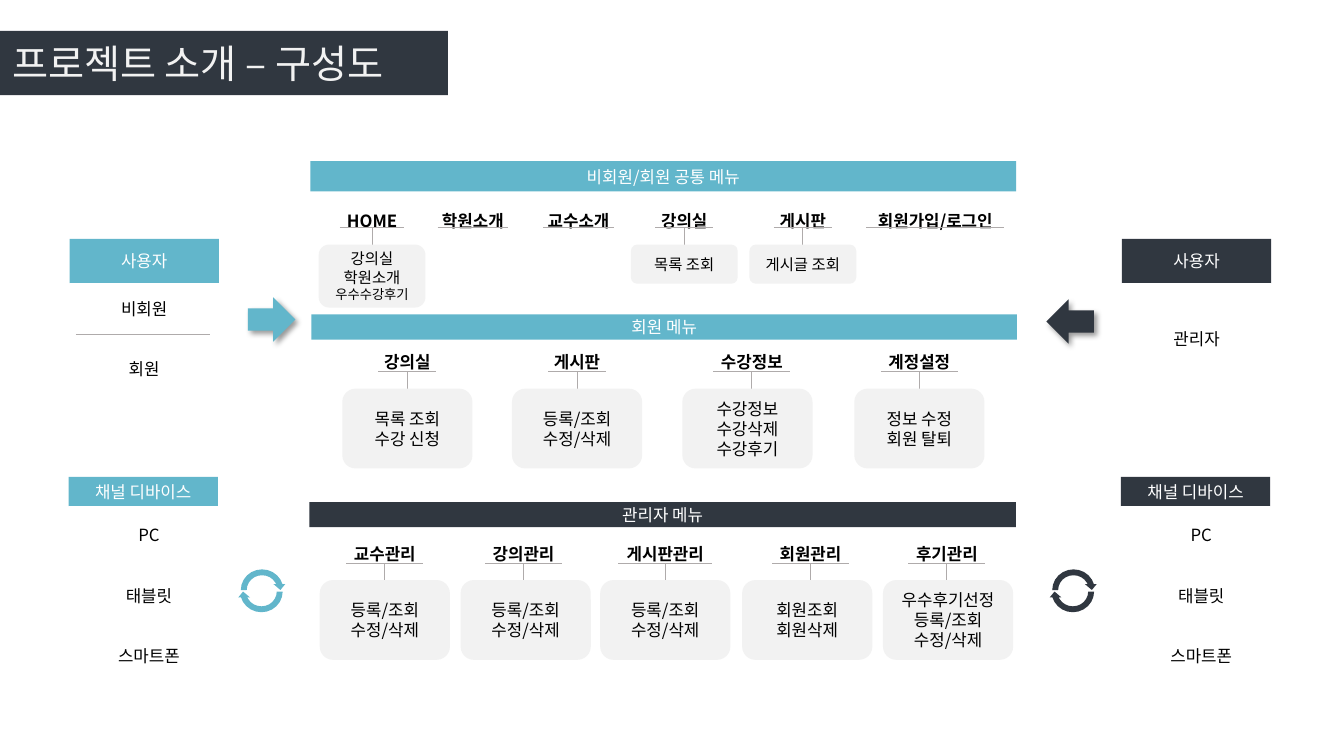
from dataclasses import dataclass

from lxml import etree
from pptx import Presentation
from pptx.dml.color import RGBColor
from pptx.enum import shapes, text
from pptx.oxml import ns
from pptx.util import Pt

FONT = "Noto Sans CJK KR"
WHITE = RGBColor(0xFF, 0xFF, 0xFF)
BLACK = RGBColor(0, 0, 0)
TEAL = RGBColor(0x62, 0xB6, 0xCB)
NAVY = RGBColor(0x30, 0x37, 0x40)
PALE = RGBColor(0xF2, 0xF2, 0xF2)
GRAY = RGBColor(0xAF, 0xAB, 0xAB)
KIND = shapes.MSO_SHAPE


@dataclass
class Item:
    label: str
    centre: float
    rule: float
    lines: tuple = ()
    card_height: float = 57
    card_shift: float = 0
    last_size: float = 0


def write(para, words, size, color, bold=False):
    span = para.add_run()
    span.text = words
    span.font.name = FONT
    etree.SubElement(span.font._element, ns.qn("a:ea"), typeface=FONT)
    span.font.size = Pt(size)
    span.font.bold = bold
    span.font.color.rgb = color


def add_block(page, kind, box, fill):
    block = page.shapes.add_shape(kind, *map(Pt, box))
    block.shadow.inherit = False
    block.fill.solid()
    block.fill.fore_color.rgb = fill
    block.line.fill.background()
    return block


def add_lines(block, lines, color, size=12, bold=False, gap=0, last_size=0):
    frame = block.text_frame
    frame.word_wrap = True
    frame.vertical_anchor = text.MSO_ANCHOR.MIDDLE
    for index, words in enumerate(lines):
        para = frame.add_paragraph() if index else frame.paragraphs[0]
        para.alignment = text.PP_ALIGN.CENTER
        is_last = index == len(lines) - 1
        line_size = last_size if last_size and is_last else size
        if len(lines) > 1:
            para.line_spacing = Pt(line_size * 1.2)
        if index and gap:
            para.space_before = Pt(gap)
        write(para, words, line_size, color, bold)


def add_line(page, x1, y1, x2, y2):
    line = page.shapes.add_connector(
        shapes.MSO_CONNECTOR.STRAIGHT, Pt(x1), Pt(y1), Pt(x2), Pt(y2))
    line.line.color.rgb = GRAY
    line.line.width = Pt(0.75)
    etree.SubElement(line._element.spPr, ns.qn("a:effectLst"))


def add_title(page, box):
    title = page.shapes.title
    title.left, title.top, title.width, title.height = map(Pt, box)
    title.fill.solid()
    title.fill.fore_color.rgb = NAVY
    frame = title.text_frame
    frame.auto_size = text.MSO_AUTO_SIZE.NONE
    frame.vertical_anchor = text.MSO_ANCHOR.MIDDLE
    frame.margin_left = Pt(8.6)
    para = frame.paragraphs[0]
    para.alignment = text.PP_ALIGN.LEFT
    write(para, "프로젝트 소개 – 구성도", 28, PALE)


def add_menu(page, box, color, heading, items, rule_drop, label_height, card_width, size):
    left, top, width, height = box
    bar = add_block(page, KIND.RECTANGLE, box, color)
    add_lines(bar, [heading], WHITE)
    rule_y = top + rule_drop
    card_y = rule_y + 12
    for item in items:
        x = left + item.centre
        label_width = max(71, item.rule + 18)
        label = add_block(page, KIND.ROUNDED_RECTANGLE,
                          (x - label_width / 2, rule_y - 19, label_width, label_height), WHITE)
        add_lines(label, [item.label], BLACK, bold=True)
        add_line(page, x - item.rule / 2, rule_y, x + item.rule / 2, rule_y)
        if item.lines:
            add_line(page, x, rule_y, x, card_y)
            card_x = x + item.card_shift - card_width / 2
            card = add_block(page, KIND.ROUNDED_RECTANGLE,
                             (card_x, card_y, card_width, item.card_height), PALE)
            add_lines(card, item.lines, BLACK, size, last_size=item.last_size)


def add_panel(page, box, header_height, color, heading, names, indent=0, divided=False):
    left, top, width, height = box
    header = add_block(page, KIND.RECTANGLE, (left, top, width, header_height), color)
    add_lines(header, [heading], WHITE)
    body = add_block(page, KIND.RECTANGLE,
                     (left, top + header_height, width, height - header_height), WHITE)
    body.text_frame.margin_left = Pt(7.2 + indent)
    add_lines(body, names, BLACK, gap=28.8)
    if divided:
        add_line(page, left + 4.5, top + 68.5, left + 100.5, top + 68.5)


def add_arrow(page, box, color, rotation):
    arrow = add_block(page, KIND.RIGHT_ARROW, box, color)
    arrow.rotation = rotation
    effects = arrow._element.spPr.find(ns.qn("a:effectLst"))
    shade = etree.SubElement(effects, ns.qn("a:outerShdw"), blurRad=str(Pt(4)),
                             dist=str(Pt(3)), dir="2700000", algn="tl", rotWithShape="0")
    tint = etree.SubElement(shade, ns.qn("a:srgbClr"), val="000000")
    etree.SubElement(tint, ns.qn("a:alpha"), val="40000")


def add_cycle(page, box, color):
    left, top, width, height = box
    for rotation, shift in ((0, 0), (180, 1)):
        arc = add_block(page, KIND.CIRCULAR_ARROW,
                        (left - shift / 2, top + shift, width, height), color)
        arc.rotation = rotation


def add_side(page, box, color, users, arrow_box, arrow_rotation, cycle_box):
    left, top, width, height = box
    add_panel(page, (left, top, width, 111), 31.7, color, "사용자", users,
              divided=len(users) > 1)
    add_panel(page, (left - 0.7, top + 170, width, height - 170), 21, color,
              "채널 디바이스", ["PC", "태블릿", "스마트폰"], indent=8)
    add_arrow(page, arrow_box, color, arrow_rotation)
    add_cycle(page, cycle_box, color)


def main():
    deck = Presentation()
    deck.slide_width, deck.slide_height = Pt(960), Pt(540)
    page = deck.slides.add_slide(deck.slide_layouts[5])
    add_title(page, (0, 22, 320, 46))

    add_side(page, (49.7, 170.6, 106.6, 318.4), TEAL, ["비회원", "회원"],
             (177, 212.4, 34, 31.7), 0, (169.9, 404.6, 34.6, 33.8))
    add_side(page, (801.4, 170.6, 106.6, 318.4), NAVY, ["관리자"],
             (747.4, 213.8, 34, 31.7), 180, (749.5, 404.6, 34.6, 33.8))

    edit = ("등록/조회", "수정/삭제")
    common = [
        Item("HOME", 44, 46, ("강의실", "학원소개", "우수수강후기"), 45, last_size=9.5),
        Item("학원소개", 116, 50.5),
        Item("교수소개", 191.5, 50.5),
        Item("강의실", 267, 41.5, ("목록 조회",), 28),
        Item("게시판", 351.7, 41.5, ("게시글 조회",), 28),
        Item("회원가입/로그인", 446.3, 98.6),
    ]
    member = [
        Item("강의실", 68.5, 41.5, ("목록 조회", "수강 신청")),
        Item("게시판", 189.7, 41.5, edit),
        Item("수강정보", 314.6, 55, ("수강정보", "수강삭제", "수강후기"), card_shift=-3.2),
        Item("계정설정", 434.2, 55, ("정보 수정", "회원 탈퇴")),
    ]
    admin = [
        Item("교수관리", 53.9, 55, edit),
        Item("강의관리", 153, 55, edit, card_shift=1.5),
        Item("게시판관리", 254.2, 67, edit),
        Item("회원관리", 358, 55, ("회원조회", "회원삭제"), card_shift=-2.4),
        Item("후기관리", 455.4, 55, ("우수후기선정",) + edit, card_shift=0.8),
    ]
    add_menu(page, (221.8, 115.2, 504, 21.6), TEAL, "비회원/회원 공통 메뉴",
             common, 47.5, 28, 76.3, 11)
    add_menu(page, (222.5, 224.6, 504, 18), TEAL, "회원 메뉴", member, 41, 24, 93, 12)
    add_menu(page, (221, 358.6, 504.7, 18), NAVY, "관리자 메뉴", admin, 43.7, 24, 93, 12)
    deck.save("out.pptx")


if __name__ == "__main__":
    main()
